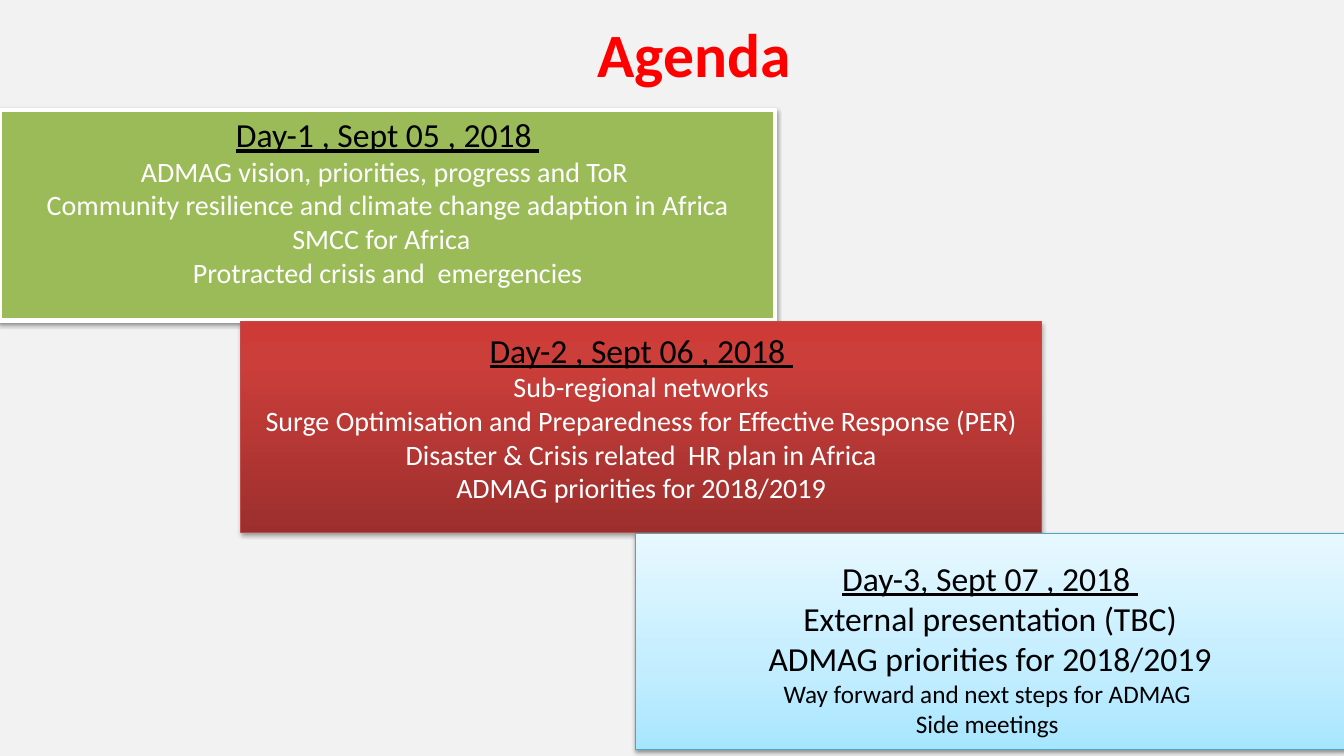
from lxml import etree
from copy import deepcopy
from pptx import Presentation
from pptx.dml.color import RGBColor
from pptx.enum.shapes import MSO_SHAPE as Shape
from pptx.enum.text import MSO_ANCHOR as Anchor, PP_ALIGN as Align
from pptx.oxml.ns import qn
from pptx.util import Inches, Pt

COLORS = {
    "page": "F2F2F2", "title": "FF0000", "dark": "000000", "light": "FFFFFF",
    "green": "9BBB59", "red_edge": "BF4C48", "blue_edge": "46AAC5",
}
REDS = [(0, "9C2F2D"), (0.8, "CB3E3A"), (1, "CE3B37")]
BLUES = [(0, "A7E6FF"), (0.35, "C1EDFF"), (1, "E7F8FF")]

TITLE = "Agenda"
DAYS = [
    {"left": 0, "width": 7.69, "height": 2.09, "inset": 0.04,
     "stops": [(0, COLORS["green"])], "edge": ("light", 3),
     "ink": "light", "shadow": (38, 1.6),
     "heading": "Day-1 , Sept 05 , 2018 ",
     "topics": [("ADMAG vision, priorities, progress and ToR ", 20),
                ("Community resilience and climate change adaption in Africa", 20),
                ("SMCC for Africa  ", 20),
                ("Protracted crisis and  emergencies", 20)]},
    {"left": 2.39, "width": 7.94, "height": 2.09, "inset": 0.08,
     "stops": REDS, "edge": ("red_edge", 0.75),
     "ink": "light", "shadow": (35, 1.8),
     "heading": "Day-2 , Sept 06 , 2018 ",
     "topics": [("Sub-regional networks", 20),
                ("Surge Optimisation and Preparedness for Effective Response (PER)", 20),
                ("Disaster & Crisis related  HR plan in Africa", 20),
                ("ADMAG priorities for 2018/2019", 20)]},
    {"left": 6.3, "width": 7.04, "height": 2.15, "inset": 0.24,
     "stops": BLUES, "edge": ("blue_edge", 0.75),
     "ink": "dark", "shadow": (38, 1.6),
     "heading": "Day-3, Sept 07 , 2018 ",
     "topics": [("External presentation (TBC)", 24),
                ("ADMAG priorities for 2018/2019", 24),
                ("Way forward and next steps for ADMAG ", 18),
                ("Side meetings ", 18)]},
]
FIRST_TOP, ROW_STEP = 1.09, 2.1


def rgb(value):
    return RGBColor.from_string(value)


def write(frame, lines):
    frame.word_wrap = True
    for index, (text, size, color, bold, underline) in enumerate(lines):
        para = frame.paragraphs[0] if index == 0 else frame.add_paragraph()
        para.text = text
        para.alignment = Align.CENTER
        font = para.font
        font.name, font.size, font.bold = "Calibri", Pt(size), bold
        font.underline = underline
        font.color.rgb = rgb(COLORS[color])


def paint(fill, stops):
    if len(stops) == 1:
        fill.solid()
        fill.fore_color.rgb = rgb(stops[0][1])
        return
    fill.gradient()
    fill.gradient_angle = 90
    stop_list = fill._fill._gradFill.find(qn("a:gsLst"))
    while len(stop_list) < len(stops):
        stop_list.append(deepcopy(stop_list[-1]))
    for stop, (position, color) in zip(fill.gradient_stops, stops):
        stop.position = position
        stop.color.rgb = rgb(color)


def cast_shadow(box, opacity, distance):
    box.shadow.inherit = False
    effects = box._element.spPr.find(qn("a:effectLst"))
    outer = etree.SubElement(effects, qn("a:outerShdw"), blurRad=str(Pt(3.1)),
                             dist=str(Pt(distance)), dir="5400000", rotWithShape="0")
    color = etree.SubElement(outer, qn("a:srgbClr"), val=COLORS["dark"])
    etree.SubElement(color, qn("a:alpha"), val=str(opacity * 1000))


def add_day(page, row, day):
    box = page.shapes.add_shape(
        Shape.RECTANGLE, Inches(day["left"]), Inches(FIRST_TOP + row * ROW_STEP),
        Inches(day["width"]), Inches(day["height"]))
    paint(box.fill, day["stops"])
    edge, thickness = day["edge"]
    box.line.color.rgb = rgb(COLORS[edge])
    box.line.width = Pt(thickness)
    cast_shadow(box, *day["shadow"])
    frame = box.text_frame
    frame.vertical_anchor = Anchor.TOP
    frame.margin_top = Inches(day["inset"])
    topics = [(text, size, day["ink"], False, False) for text, size in day["topics"]]
    write(frame, [(day["heading"], 24, "dark", False, True)] + topics)


def main():
    deck = Presentation()
    deck.slide_width, deck.slide_height = Inches(13.33), Inches(7.5)
    page = deck.slides.add_slide(deck.slide_layouts[6])
    page.background.fill.solid()
    page.background.fill.fore_color.rgb = rgb(COLORS["page"])
    title = page.shapes.add_textbox(Inches(0.67), 0, Inches(12.43), Inches(1.04))
    title.text_frame.vertical_anchor = Anchor.MIDDLE
    write(title.text_frame, [(TITLE, 44, "title", True, False)])
    for row, day in enumerate(DAYS):
        add_day(page, row, day)
    deck.save("out.pptx")


if __name__ == "__main__":
    main()
